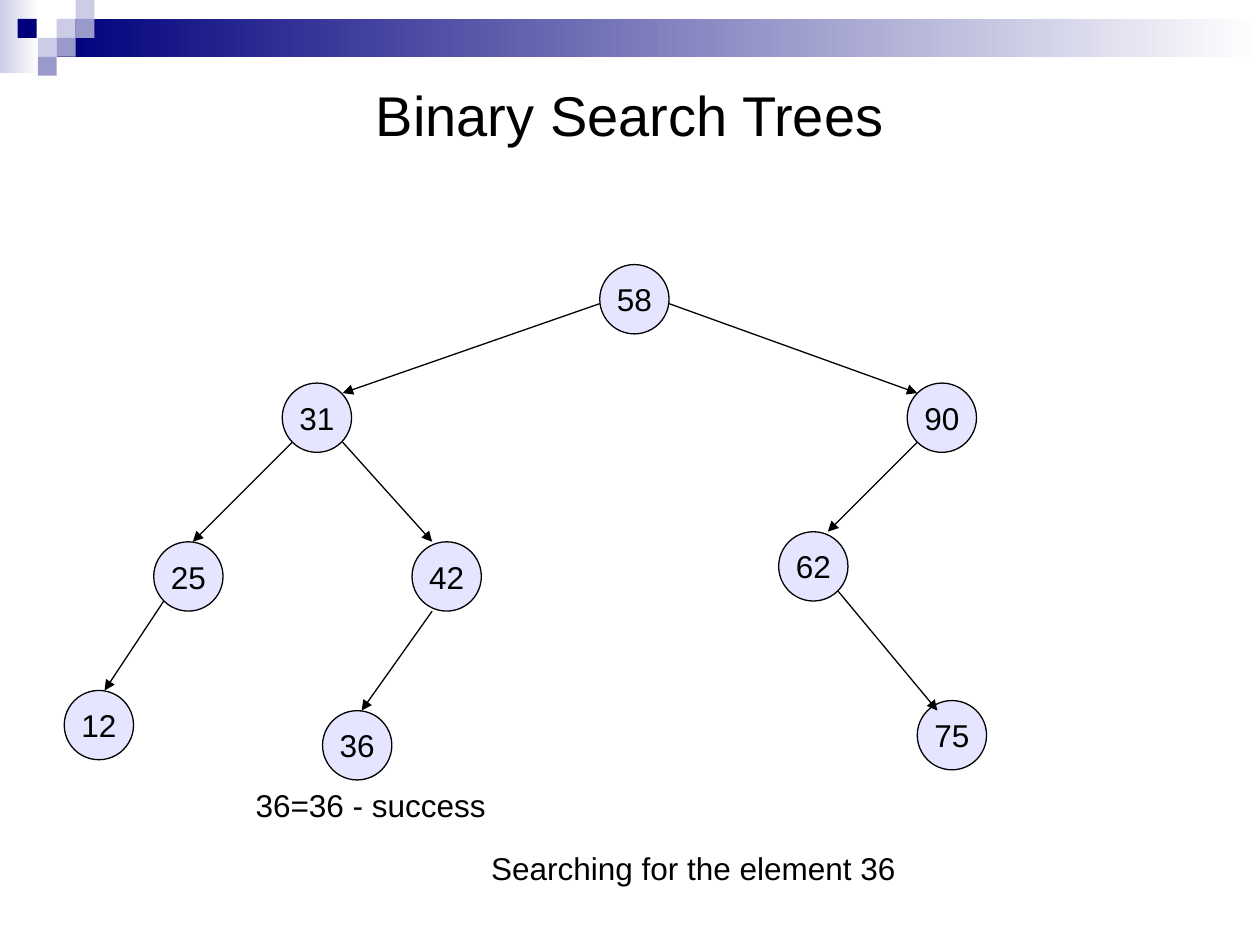
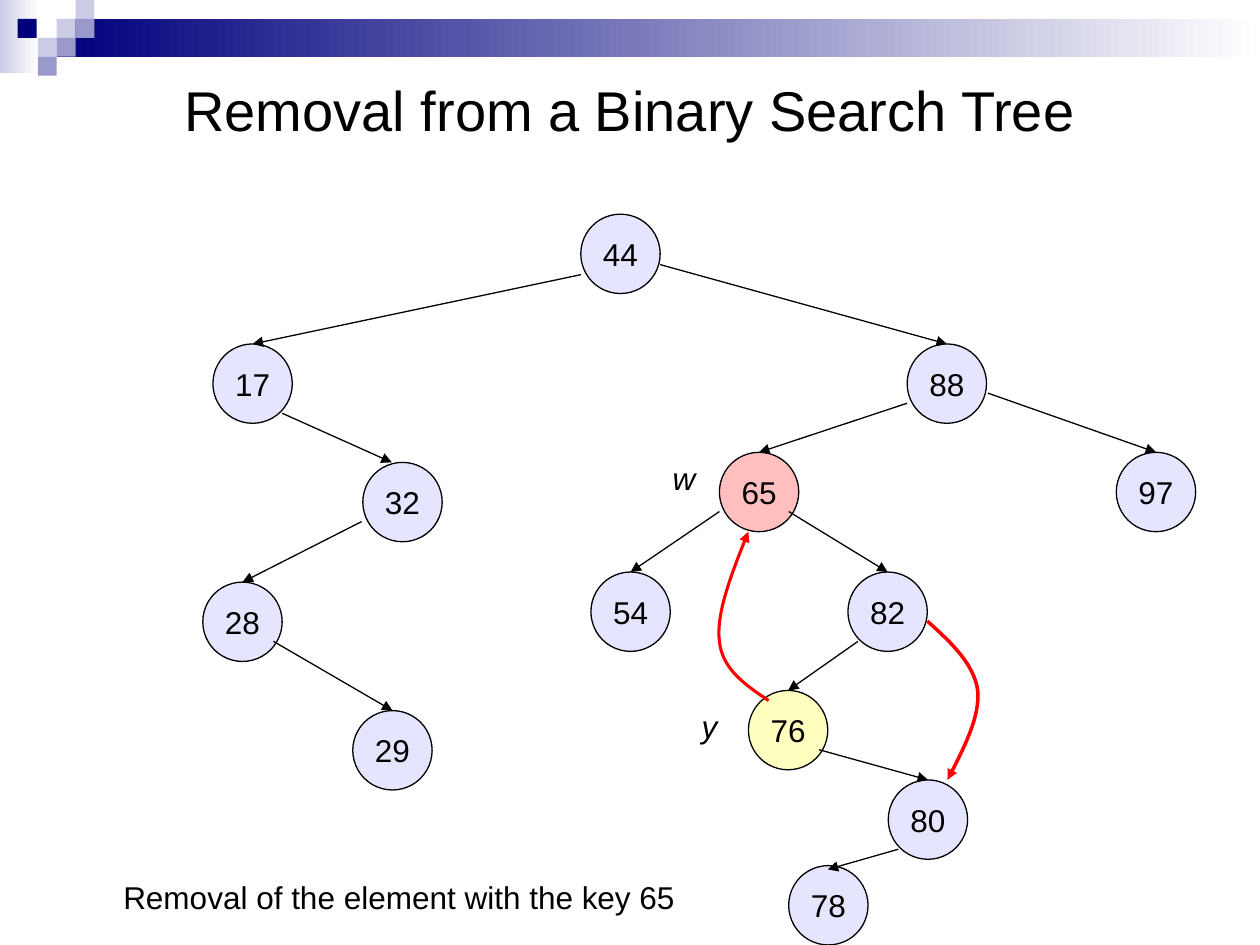
import pptx
import pptx.dml.color
import pptx.enum.dml
import pptx.enum.shapes
import pptx.enum.text
import pptx.oxml
import pptx.oxml.ns
import pptx.util
from lxml import etree
from typing import Any, NamedTuple

Inches = pptx.util.Inches
SHAPE = pptx.enum.shapes.MSO_SHAPE
ALIGN = pptx.enum.text.PP_ALIGN
ANCHOR = pptx.enum.text.MSO_ANCHOR
qn = pptx.oxml.ns.qn

COLORS = {
    "ink": "000000", "white": "FFFFFF", "navy": "00007D", "pale": "CCCCE6",
    "mid": "9999CC", "node": "9999FF", "red": "FF0000", "yellow": "FFFF00",
}
FONT = "Arial"
CELL = 0.15    # side of a corner square
STEPS = 16     # points along each curve part

Point = tuple[float, float]


class Tile(NamedTuple):
    x: float
    y: float
    fill: str
    end: str = ""          # colour at the right of a gradient
    width: float = CELL
    height: float = CELL


class Node(NamedTuple):
    key: int
    x: float
    y: float
    fill: str = "node"


class Edge(NamedTuple):
    child: int
    start: Point
    end: Point


class Label(NamedTuple):
    text: str
    x: float
    y: float
    width: float
    slant: bool = False


class Curve(NamedTuple):
    points: list[Point]    # start, then three points for each cubic part
    weight: float


class Tree(NamedTuple):
    title: str
    height: float          # of the title box
    size: float            # of a node
    nodes: list[Node]
    edges: list[Edge]
    labels: list[Label]
    curves: list[Curve]


# Band and corner squares on every slide
TILES = [
    Tile(0, 0, "pale", "white", 0.31, 0.58),
    Tile(3 * CELL, CELL, "navy", "white", 9.55, 2 * CELL),
    Tile(3 * CELL, CELL, "pale"),
    Tile(4 * CELL, 0, "pale"),
    Tile(4 * CELL, CELL, "mid"),
    Tile(2 * CELL, 2 * CELL, "pale"),
    Tile(0.14, CELL, "navy"),
    Tile(3 * CELL, 2 * CELL, "mid"),
    Tile(2 * CELL, 3 * CELL, "mid"),
]

SEARCH = Tree(
    "Binary Search Trees", 0.81, 0.55,
    [Node(58, 4.76, 2.1), Node(31, 2.24, 3.04), Node(90, 7.2, 3.04),
     Node(25, 1.22, 4.3), Node(42, 3.27, 4.3), Node(12, 0.51, 5.48),
     Node(36, 2.56, 5.64), Node(62, 6.18, 4.22), Node(75, 7.28, 5.56)],
    [Edge(31, (4.76, 2.41), (2.72, 3.12)),
     Edge(25, (2.32, 3.51), (1.53, 4.3)),
     Edge(12, (1.3, 4.77), (0.83, 5.48)),
     Edge(42, (2.72, 3.51), (3.43, 4.3)),
     Edge(36, (3.43, 4.85), (2.87, 5.64)),
     Edge(90, (5.31, 2.41), (7.28, 3.12)),
     Edge(62, (7.28, 3.51), (6.57, 4.22)),
     Edge(75, (6.65, 4.69), (7.44, 5.64))],
    [Label("Searching for the element 36", 3.8, 6.69, 3.41),
     Label("36=36 - success", 1.93, 6.19, 2.03)],
    [],
)

REMOVAL = Tree(
    "Removal from a Binary Search Tree", 0.73, 0.63,
    [Node(44, 4.61, 1.7), Node(17, 1.69, 2.73), Node(32, 2.88, 3.67),
     Node(28, 1.61, 4.62), Node(29, 2.8, 5.64), Node(88, 7.2, 2.73),
     Node(65, 5.71, 3.59, "red"), Node(97, 8.86, 3.59), Node(54, 4.69, 4.54),
     Node(82, 6.73, 4.54), Node(76, 5.94, 5.48, "yellow"),
     Node(80, 7.05, 6.19), Node(78, 6.26, 6.87)],
    [Edge(17, (4.61, 2.18), (2.01, 2.73)),
     Edge(32, (2.24, 3.28), (3.11, 3.67)),
     Edge(28, (2.87, 4.14), (1.93, 4.62)),
     Edge(29, (2.17, 5.09), (3.11, 5.64)),
     Edge(88, (5.24, 2.1), (7.52, 2.73)),
     Edge(65, (7.2, 3.2), (6.02, 3.59)),
     Edge(97, (7.84, 3.12), (9.17, 3.59)),
     Edge(54, (5.71, 4.06), (5, 4.54)),
     Edge(82, (6.26, 4.06), (7.05, 4.54)),
     Edge(76, (6.81, 5.09), (6.26, 5.48)),
     Edge(80, (6.5, 5.95), (7.36, 6.19)),
     Edge(78, (7.13, 6.74), (6.57, 6.9))],
    [Label("Removal of the element with the key 65", 0.88, 6.92, 4.65),
     Label("w", 5.24, 3.59, 0.38, True),
     Label("y", 5.47, 5.56, 0.32, True)],
    [Curve([(6.1, 5.56), (5.92, 5.44), (5.73, 5.31), (5.71, 5.09),
            (5.68, 4.87), (5.81, 4.54), (5.94, 4.22)], 1.75),
     Curve([(7.36, 4.93), (7.55, 5.1), (7.73, 5.27), (7.76, 5.48),
            (7.78, 5.69), (7.65, 5.94), (7.52, 6.19)], 2)],
)


def color(name: str) -> pptx.dml.color.RGBColor:
    return pptx.dml.color.RGBColor.from_string(COLORS[name])


def write(shape: Any, text: str, size: float, align: Any = ALIGN.LEFT,
          anchor: Any = ANCHOR.TOP, wrap: bool = False, slant: bool = False) -> None:
    frame = shape.text_frame
    frame.word_wrap = wrap
    frame.vertical_anchor = anchor
    para = frame.paragraphs[0]
    para.alignment = align
    run = para.add_run()
    run.text = text
    run.font.name = FONT
    run.font.size = pptx.util.Pt(size)
    run.font.italic = slant or None
    run.font.color.rgb = color("ink")


def stroke(shape: Any, name: str, weight: float, arrow: bool = True) -> None:
    shape.line.color.rgb = color(name)
    shape.line.width = pptx.util.Pt(weight)
    if arrow:
        etree.SubElement(shape.line._get_or_add_ln(), qn("a:tailEnd"), type="triangle")


def add_tile(slide: Any, tile: Tile) -> None:
    shape = slide.shapes.add_shape(SHAPE.RECTANGLE, Inches(tile.x), Inches(tile.y),
                                   Inches(tile.width), Inches(tile.height))
    shape.shadow.inherit = False
    shape.line.fill.background()
    if tile.end:
        shape.fill.gradient()
        shape.fill.gradient_angle = 0
        for stop, name in zip(shape.fill.gradient_stops, (tile.fill, tile.end)):
            stop.color.rgb = color(name)
    else:
        shape.fill.solid()
        shape.fill.fore_color.rgb = color(tile.fill)


def add_node(slide: Any, node: Node, size: float) -> Any:
    shape = slide.shapes.add_shape(SHAPE.OVAL, Inches(node.x), Inches(node.y),
                                   Inches(size), Inches(size))
    shape.shadow.inherit = False
    shape.fill.solid()
    shape.fill.fore_color.rgb = color(node.fill)
    tint = shape._element.spPr.find(qn("a:solidFill")).find(qn("a:srgbClr"))
    etree.SubElement(tint, qn("a:alpha"), val="25000")
    stroke(shape, "ink", 0.75, arrow=False)
    write(shape, str(node.key), 18, ALIGN.CENTER, ANCHOR.MIDDLE)
    return shape


def add_edge(slide: Any, edge: Edge, child: Any) -> None:
    ends = [Inches(value) for value in edge.start + edge.end]
    line = slide.shapes.add_connector(pptx.enum.shapes.MSO_CONNECTOR.STRAIGHT, *ends)
    stroke(line, "ink", 0.75)
    etree.SubElement(line._element.spPr, qn("a:effectLst"))
    # Glue the arrow when it meets the top of the child
    near = Inches(0.02)
    if abs(child.left + child.width // 2 - ends[2]) < near and abs(child.top - ends[3]) < near:
        line.end_connect(child, 0)


def add_label(slide: Any, label: Label) -> None:
    box = slide.shapes.add_textbox(Inches(label.x), Inches(label.y),
                                   Inches(label.width), Inches(0.4))
    write(box, label.text, 18, slant=label.slant)
    box.text_frame.auto_size = pptx.enum.text.MSO_AUTO_SIZE.SHAPE_TO_FIT_TEXT


def bend(part: list[Point], t: float) -> Point:
    """Point at t on a cubic curve."""
    u = 1 - t
    mix = (u ** 3, 3 * u * u * t, 3 * u * t * t, t ** 3)
    return (sum(m * p[0] for m, p in zip(mix, part)),
            sum(m * p[1] for m, p in zip(mix, part)))


def add_curve(slide: Any, curve: Curve) -> None:
    pts = curve.points
    trail = [bend(pts[i:i + 4], step / STEPS)
             for i in range(0, len(pts) - 1, 3) for step in range(1, STEPS + 1)]
    pen = slide.shapes.build_freeform(Inches(pts[0][0]), Inches(pts[0][1]))
    pen.add_line_segments([(Inches(x), Inches(y)) for x, y in trail], close=False)
    shape = pen.convert_to_shape()
    shape.shadow.inherit = False
    shape.fill.background()
    stroke(shape, "red", curve.weight)


def add_tree(deck: Any, tree: Tree) -> None:
    slide = deck.slides.add_slide(deck.slide_layouts[6])
    for tile in TILES:
        add_tile(slide, tile)
    # Title
    box = slide.shapes.add_textbox(Inches(0.5), Inches(0.5), Inches(9), Inches(tree.height))
    write(box, tree.title, 32, ALIGN.CENTER, ANCHOR.MIDDLE, wrap=True)
    # Tree
    nodes = {node.key: add_node(slide, node, tree.size) for node in tree.nodes}
    for edge in tree.edges:
        add_edge(slide, edge, nodes[edge.child])
    # Notes and moves
    for label in tree.labels:
        add_label(slide, label)
    for curve in tree.curves:
        add_curve(slide, curve)


def main() -> None:
    deck = pptx.Presentation()
    deck.slide_width, deck.slide_height = Inches(10), Inches(7.5)
    for tree in (SEARCH, REMOVAL):
        add_tree(deck, tree)
    deck.save("out.pptx")


if __name__ == "__main__":
    main()
